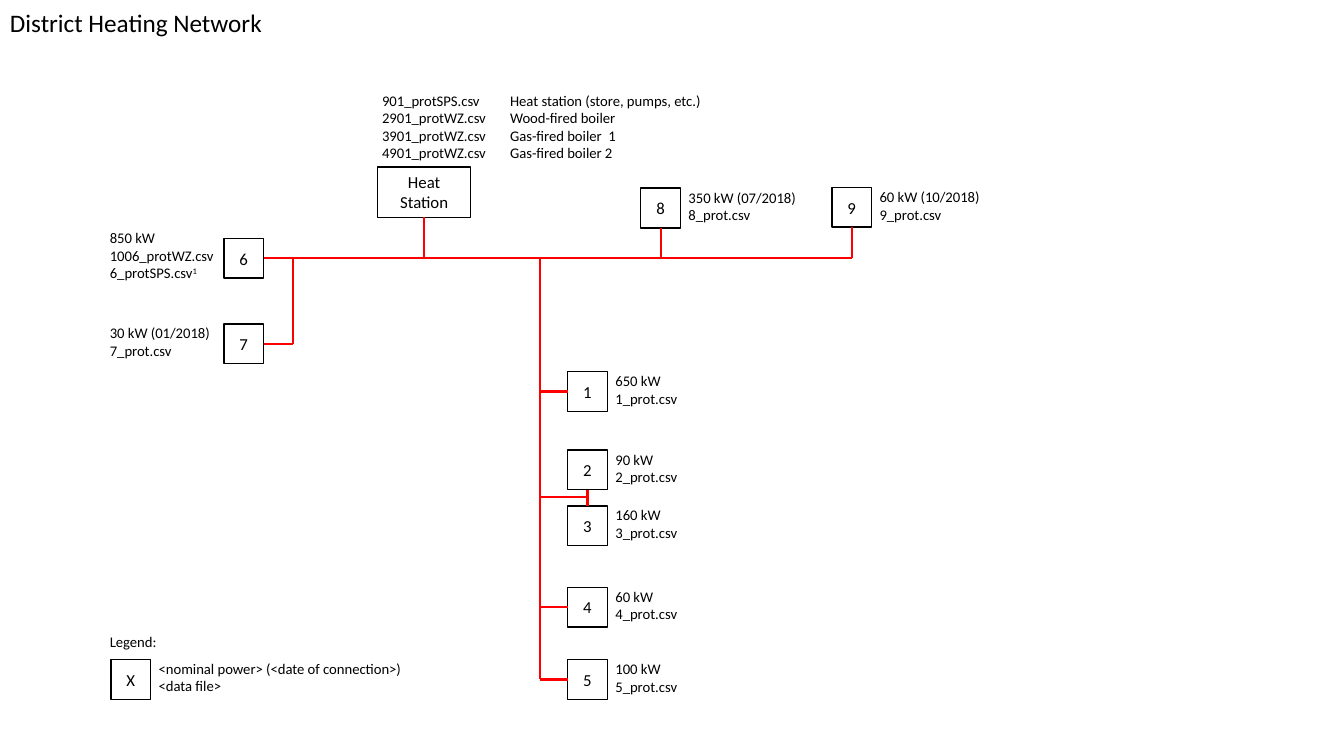
from lxml import etree
from pptx import Presentation, util as u
from pptx.dml.color import RGBColor
from pptx.enum import shapes, text
from pptx.oxml import ns

BLACK = RGBColor(0x00, 0x00, 0x00)
RED = RGBColor(0xFF, 0x00, 0x00)
FONT = "Calibri"
WIDTH, HEIGHT = u.Inches(13.33), u.Inches(7.5)
COLUMNS, ROWS = 1333, 750
TOP, LEFT, BOTTOM, RIGHT = range(4)

BOX = 39.4
LABEL_LINE = 19.4
LABEL_WIDTH = 120
BUS_ROW = 256.3
TRUNK_COLUMN = 536
TRUNK_BOXES = 563
WEST_COLUMN = 291
WEST_BOXES = 222
WEST_LABELS = 101
LEGEND_COLUMN, LEGEND_ROW = 110, 654.4

CONSUMERS = [
    ("6", WEST_BOXES, BUS_ROW - BOX / 2, ["850 kW", "1006_protWZ.csv", "6_protSPS.csv"]),
    ("1", TRUNK_BOXES, 368.7, ["650 kW", "1_prot.csv"]),
    ("2", TRUNK_BOXES, 446.5, ["90 kW", "2_prot.csv"]),
    ("3", TRUNK_BOXES, 502, ["160 kW", "3_prot.csv"]),
    ("4", TRUNK_BOXES, 582.7, ["60 kW", "4_prot.csv"]),
    ("5", TRUNK_BOXES, LEGEND_ROW, ["100 kW", "5_prot.csv"]),
    ("7", WEST_BOXES, 321.3, ["30 kW (01/2018)", "7_prot.csv"]),
    ("8", 635.5, 186.7, ["350 kW (07/2018)", "8_prot.csv"]),
    ("9", 825, 186, ["60 kW (10/2018)", "9_prot.csv"]),
]
STATION_FILES = [
    "901_protSPS.csv\tHeat station (store, pumps, etc.)",
    "2901_protWZ.csv\tWood-fired boiler",
    "3901_protWZ.csv\tGas-fired boiler  1",
    "4901_protWZ.csv\tGas-fired boiler 2",
]


def across(column):
    return round(WIDTH * column / COLUMNS)


def down(row):
    return round(HEIGHT * row / ROWS)


def place(column, row, width, height):
    return across(column), down(row), across(width), down(height)


def write(frame, lines, size=10.5, align=text.PP_ALIGN.LEFT, superscript=None, tab=None):
    for index, line in enumerate(lines):
        paragraph = frame.add_paragraph() if index else frame.paragraphs[0]
        paragraph.alignment = align
        paragraph.add_run().text = line
        if superscript and index == len(lines) - 1:
            run = paragraph.add_run()
            run.text = superscript
            run._r.get_or_add_rPr().set("baseline", "30000")
        for run in paragraph.runs:
            run.font.name = FONT
            run.font.size = u.Pt(size)
            run.font.color.rgb = BLACK
        if tab:
            stops = etree.SubElement(paragraph._p.get_or_add_pPr(), ns.qn("a:tabLst"))
            etree.SubElement(stops, ns.qn("a:tab"), pos=str(across(tab)), algn="l")


def add_title(slide, title):
    frame = slide.shapes.add_textbox(*place(0, 2, 288, 40)).text_frame
    frame.word_wrap = True
    frame.auto_size = text.MSO_AUTO_SIZE.SHAPE_TO_FIT_TEXT
    write(frame, [title], size=18)


def add_label(slide, column, row, lines, width=LABEL_WIDTH, **style):
    height = LABEL_LINE * len(lines)
    frame = slide.shapes.add_textbox(*place(column, row, width, height)).text_frame
    frame.word_wrap = False
    frame.margin_left = across(8)
    frame.margin_top = frame.margin_right = frame.margin_bottom = 0
    write(frame, lines, **style)


def add_box(slide, column, row, lines, width=BOX, height=BOX):
    box = slide.shapes.add_shape(
        shapes.MSO_SHAPE.RECTANGLE, *place(column, row, width, height))
    box.shadow.inherit = False
    box.fill.background()
    box.line.color.rgb = BLACK
    box.line.width = u.Pt(1)
    box.text_frame.vertical_anchor = text.MSO_ANCHOR.MIDDLE
    write(box.text_frame, lines, size=12, align=text.PP_ALIGN.CENTER)
    return box


def add_pipe(slide, start, end):
    pipe = slide.shapes.add_connector(shapes.MSO_CONNECTOR.STRAIGHT, *start, *end)
    pipe.line.color.rgb = RED
    pipe.line.width = u.Pt(1.5)
    etree.SubElement(pipe._element.spPr, ns.qn("a:effectLst"))
    return pipe


def middle(box):
    return box.left + box.width // 2, box.top + box.height // 2


def add_branch(slide, box, side, end):
    x, y = middle(box)
    target = (x, end) if side in (TOP, BOTTOM) else (end, y)
    pipe = add_pipe(slide, (x, y), target)
    pipe.begin_connect(box, side)
    return pipe


def add_consumers(slide):
    boxes = {}
    for number, column, row, lines in CONSUMERS:
        boxes[number] = add_box(slide, column, row, [number])
        label_column = WEST_LABELS if column == WEST_BOXES else column + BOX
        label_row = row + (BOX - LABEL_LINE * len(lines)) / 2
        add_label(slide, label_column, label_row, lines,
                  superscript="1" if number == "6" else None)
    return boxes


def add_network(slide, station, boxes):
    bus, trunk, west = down(BUS_ROW), across(TRUNK_COLUMN), across(WEST_COLUMN)
    for box in (station, boxes["8"], boxes["9"]):
        add_branch(slide, box, BOTTOM, bus)
    add_branch(slide, boxes["6"], RIGHT, middle(boxes["9"])[0])
    for number in "145":
        add_branch(slide, boxes[number], LEFT, trunk)
    add_pipe(slide, (trunk, bus), (trunk, middle(boxes["5"])[1]))
    link = add_branch(slide, boxes["2"], BOTTOM, boxes["3"].top)
    link.end_connect(boxes["3"], TOP)
    link_row = down(493)
    add_pipe(slide, (middle(boxes["2"])[0], link_row), (trunk, link_row))
    add_branch(slide, boxes["7"], RIGHT, west)
    add_pipe(slide, (west, bus), (west, middle(boxes["7"])[1]))


def add_legend(slide):
    add_label(slide, WEST_LABELS, 627.5, ["Legend:"])
    add_box(slide, LEGEND_COLUMN, LEGEND_ROW, ["X"])
    add_label(slide, LEGEND_COLUMN + BOX, LEGEND_ROW,
              ["<nominal power> (<date of connection>)", "<data file>"], width=264)


def main():
    presentation = Presentation()
    presentation.slide_width, presentation.slide_height = WIDTH, HEIGHT
    slide = presentation.slides.add_slide(presentation.slide_layouts[6])
    add_title(slide, "District Heating Network")
    station = add_box(slide, 374.7, 165.7, ["Heat", "Station"], width=92, height=50)
    add_label(slide, 371, 90.7, STATION_FILES, width=329, tab=127)
    boxes = add_consumers(slide)
    add_network(slide, station, boxes)
    add_legend(slide)
    presentation.save("out.pptx")


if __name__ == "__main__":
    main()
